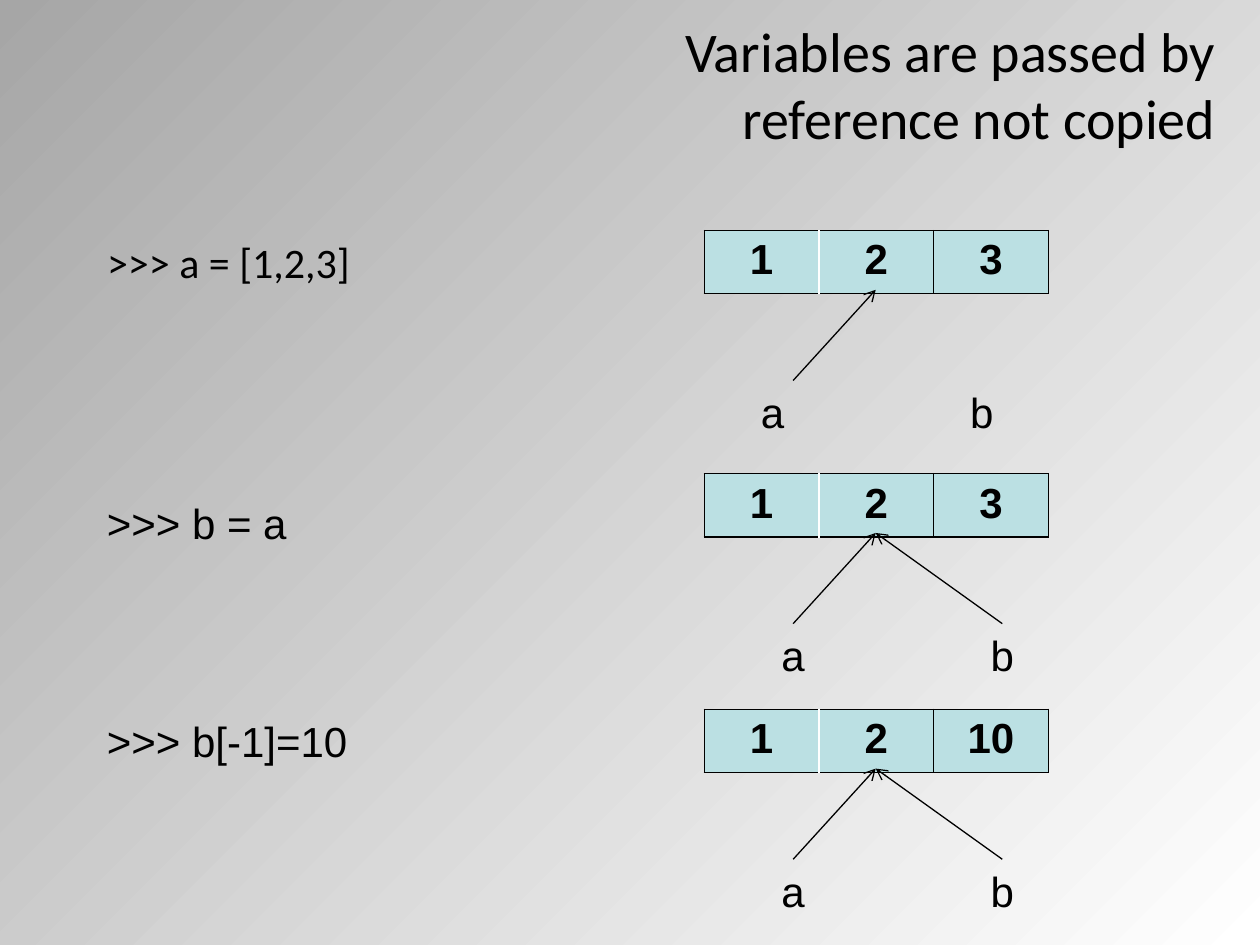
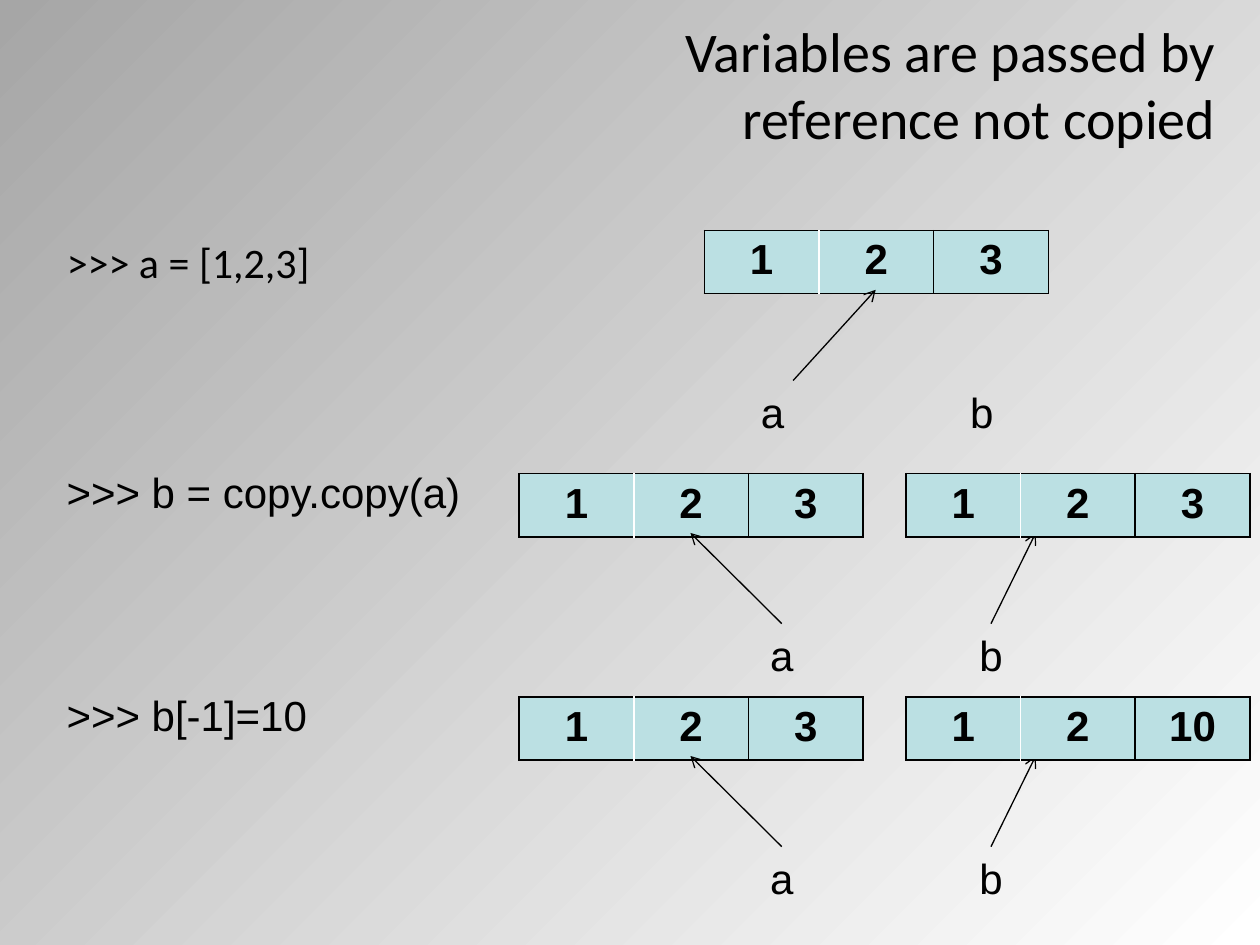
from dataclasses import dataclass

from lxml.etree import SubElement
from pptx import Presentation
from pptx.dml.color import RGBColor
from pptx.enum.shapes import MSO_CONNECTOR
from pptx.enum.text import MSO_ANCHOR, MSO_AUTO_SIZE, PP_ALIGN
from pptx.oxml import parse_xml
from pptx.oxml.ns import nsdecls, qn
from pptx.util import Inches, Pt


@dataclass(frozen=True)
class Theme:
    ink: str = "000000"
    white: str = "FFFFFF"
    shade: str = "A6A6A6"
    cell: str = "BBE0E3"
    heading_font: str = "Calibri"
    text_font: str = "Arial"
    title_size: int = 32
    text_size: int = 24
    border: float = 1
    arrow: float = 0.75


@dataclass(frozen=True)
class Variable:
    """A label, and the point its arrow ends at (None for no arrow)."""
    name: str
    left: float
    target: float | None = None


@dataclass(frozen=True)
class Step:
    """One command, and the lists and variables it leaves in memory."""
    top: float
    lists: tuple
    variables: tuple
    command: str = ""
    command_top: float = 0
    label_align: PP_ALIGN = PP_ALIGN.CENTER


THEME = Theme()
TITLE = "Variables are passed by reference not copied"
FIRST_COMMAND = ">>> a = [1,2,3]"
CELL_WIDTH, CELL_HEIGHT = 0.91, 0.47
LABEL_DROP, LABEL_WIDTH, LABEL_HEIGHT = 1.19, 0.71, 0.5
COMMAND_HEIGHT = 0.91

FIRST_STEP = Step(1.83, ((5.59, "1 2 3"),),
                  (Variable("a", 5.94, 6.95), Variable("b", 7.6)),
                  label_align=PP_ALIGN.LEFT)
SHARED = (Variable("a", 5.94, 6.95), Variable("b", 7.6, 6.95))
SEPARATE = (Variable("a", 5.85, 5.48), Variable("b", 7.51, 8.22))

REFERENCE_STEPS = (
    FIRST_STEP,
    Step(3.76, ((5.59, "1 2 3"),), SHARED, ">>> b = a", 3.9),
    Step(5.63, ((5.59, "1 2 10"),), SHARED, ">>> b[-1]=10", 5.63),
)
COPY_STEPS = (
    FIRST_STEP,
    Step(3.76, ((4.12, "1 2 3"), (7.19, "1 2 3")), SEPARATE,
         ">>> b = copy.copy(a)", 3.65),
    Step(5.53, ((4.12, "1 2 3"), (7.19, "1 2 10")), SEPARATE,
         ">>> b[-1]=10", 5.42),
)
COMMAND_WIDTHS = {">>> b = a": 1.64, ">>> b = copy.copy(a)": 3.36, ">>> b[-1]=10": 2.13}


def place(shape, left, top, width, height):
    shape.left, shape.top = Inches(left), Inches(top)
    shape.width, shape.height = Inches(width), Inches(height)


def write(text_frame, text, align=PP_ALIGN.LEFT, size=THEME.text_size,
          font=THEME.text_font, bold=False):
    paragraph = text_frame.paragraphs[0]
    paragraph.alignment = align
    run = paragraph.add_run()
    run.text = text
    run.font.name, run.font.size, run.font.bold = font, Pt(size), bold
    run.font.color.rgb = RGBColor.from_string(THEME.ink)
    return paragraph


def set_background(master):
    master.background.fill.gradient()
    gradient = master.element.xpath(".//p:bgPr/a:gradFill")[0]
    gradient.getparent().replace(gradient, parse_xml(
        f'<a:gradFill {nsdecls("a")} rotWithShape="1"><a:gsLst>'
        f'<a:gs pos="0"><a:srgbClr val="{THEME.white}"/></a:gs>'
        f'<a:gs pos="100000"><a:srgbClr val="{THEME.shade}"/></a:gs></a:gsLst>'
        '<a:path path="circle"><a:fillToRect l="100000" t="100000"/></a:path>'
        '</a:gradFill>'))


def set_border(cell, side, color):
    line = SubElement(cell._tc.get_or_add_tcPr(), qn(f"a:{side}"), w=str(Pt(THEME.border)))
    fill = SubElement(line, qn("a:solidFill"))
    SubElement(fill, qn("a:srgbClr"), val=color)


def add_list(slide, left, top, values):
    """Draw a list as a row of cells, with a white line after the first."""
    frame = slide.shapes.add_table(1, len(values), Inches(left), Inches(top),
                                   Inches(CELL_WIDTH * len(values)), Inches(CELL_HEIGHT))
    table = frame.table
    table.first_row = table.horz_banding = False
    for index, value in enumerate(values):
        table.columns[index].width = Inches(CELL_WIDTH)
        cell = table.cell(0, index)
        white_side = {0: "lnR", 1: "lnL"}.get(index)
        for side in ("lnL", "lnR", "lnT", "lnB"):
            set_border(cell, side, THEME.white if side == white_side else THEME.ink)
        cell.fill.solid()
        cell.fill.fore_color.rgb = RGBColor.from_string(THEME.cell)
        write(cell.text_frame, value, PP_ALIGN.CENTER, bold=True)


def add_label(slide, variable, top, align):
    label = slide.shapes.add_textbox(Inches(variable.left), Inches(top),
                                     Inches(LABEL_WIDTH), Inches(LABEL_HEIGHT))
    label.text_frame.word_wrap = True
    label.text_frame.auto_size = MSO_AUTO_SIZE.SHAPE_TO_FIT_TEXT
    write(label.text_frame, variable.name, align)
    return label


def add_arrow(slide, label, left, top):
    """Point from the top of a label to the given place."""
    arrow = slide.shapes.add_connector(MSO_CONNECTOR.STRAIGHT, label.left, label.top,
                                       Inches(left), Inches(top))
    arrow.begin_connect(label, 0)
    arrow.line.color.rgb = RGBColor.from_string(THEME.ink)
    arrow.line.width = Pt(THEME.arrow)
    SubElement(arrow.line._get_or_add_ln(), qn("a:tailEnd"), type="arrow")
    SubElement(arrow._element.spPr, qn("a:effectLst"))


def add_command(slide, left, step):
    box = slide.shapes.add_textbox(Inches(left), Inches(step.command_top),
                                   Inches(COMMAND_WIDTHS[step.command]),
                                   Inches(COMMAND_HEIGHT))
    box.text_frame.word_wrap = False
    write(box.text_frame, step.command)


def add_step(slide, step, command_left):
    labels = [add_label(slide, variable, step.top + LABEL_DROP, step.label_align)
              for variable in step.variables]
    (first_left, first_values), *other_lists = step.lists
    add_list(slide, first_left, step.top, first_values.split())
    for label, variable in zip(labels, step.variables):
        if variable.target is not None:
            add_arrow(slide, label, variable.target, step.top + CELL_HEIGHT)
    for left, values in other_lists:
        add_list(slide, left, step.top, values.split())
    if step.command:
        add_command(slide, command_left, step)


def fill_body(body, left, width):
    """Write the first command as an unbulleted hanging paragraph."""
    place(body, left, 1.83, width, 4.83)
    paragraph = write(body.text_frame, FIRST_COMMAND, font=THEME.heading_font)
    properties = paragraph._p.get_or_add_pPr()
    properties.set("marL", str(Inches(0.38)))
    properties.set("indent", str(Inches(-0.38)))
    for spacing in ("a:spcBef", "a:spcAft"):
        SubElement(SubElement(properties, qn(spacing)), qn("a:spcPct"), val="25000")
    SubElement(properties, qn("a:buNone"))


def add_memory_slide(presentation, left, body_width, steps):
    slide = presentation.slides.add_slide(presentation.slide_layouts[1])
    title, body = slide.placeholders
    place(title, 3.92, 0.25, 5.83, 0.83)
    title.text_frame.vertical_anchor = MSO_ANCHOR.MIDDLE
    title.text_frame.auto_size = MSO_AUTO_SIZE.NONE
    write(title.text_frame, TITLE, PP_ALIGN.RIGHT, THEME.title_size, THEME.heading_font)
    fill_body(body, left, body_width)
    for step in steps:
        add_step(slide, step, left)


def main():
    presentation = Presentation()
    presentation.slide_width, presentation.slide_height = Inches(10), Inches(7.5)
    set_background(presentation.slide_master)
    add_memory_slide(presentation, 0.75, 8.5, REFERENCE_STEPS)
    add_memory_slide(presentation, 0.43, 8.82, COPY_STEPS)
    presentation.save("out.pptx")


if __name__ == "__main__":
    main()
